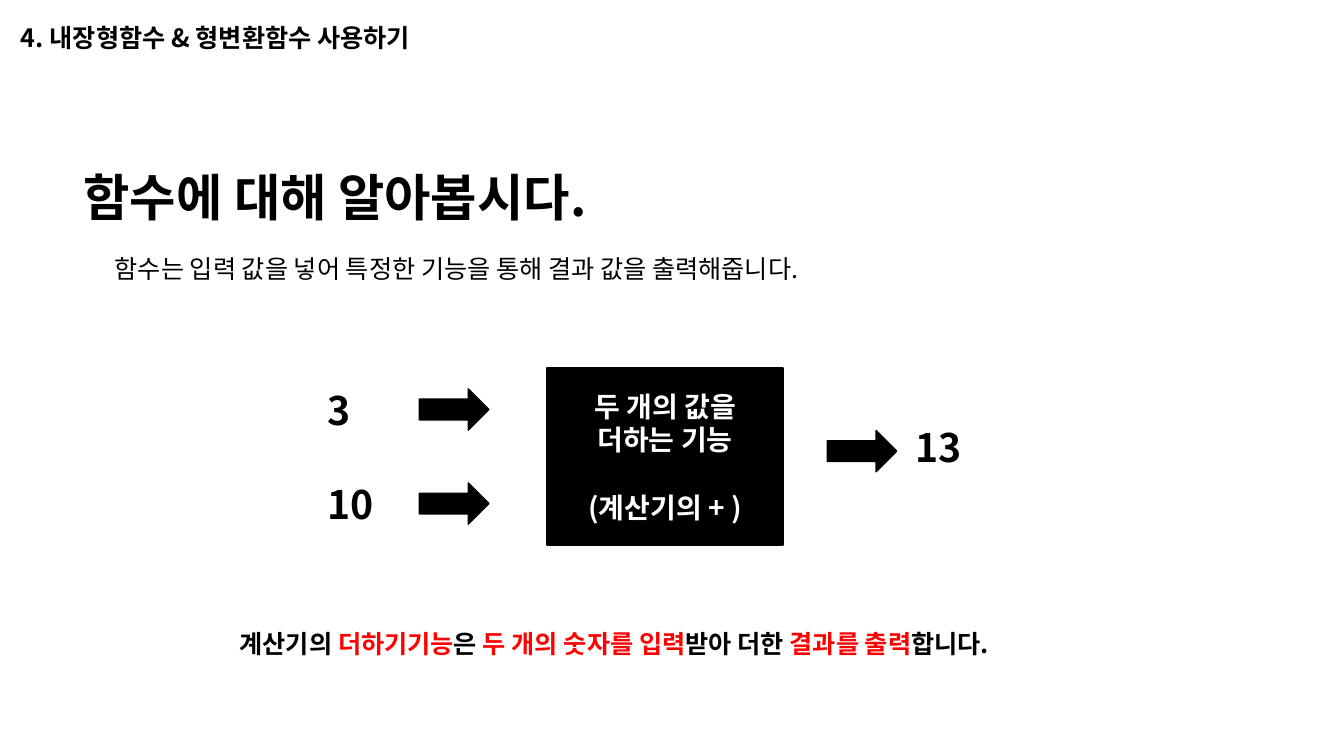
import pptx
import pptx.dml.color
import pptx.enum.shapes
import pptx.enum.text
import pptx.util
from dataclasses import dataclass
from lxml import etree
from pptx.oxml.ns import qn

Cm, Pt = pptx.util.Cm, pptx.util.Pt
SHAPE = pptx.enum.shapes.MSO_SHAPE
ALIGN = pptx.enum.text.PP_ALIGN
ANCHOR = pptx.enum.text.MSO_ANCHOR
AUTOSIZE = pptx.enum.text.MSO_AUTO_SIZE


@dataclass
class Theme:
    font: str = "Noto Sans CJK KR"
    ink: str = "000000"
    paper: str = "FFFFFF"
    accent: str = "FF0000"
    title: int = 36
    value: int = 28
    box: int = 20
    body: int = 18


def add_run(p, text, *, font, size, color, bold=False):
    """Add one formatted run, with the same font for Latin and Hangul."""
    r = p.add_run()
    r.text = text
    r.font.name = font
    r.font.size = Pt(size)
    r.font.bold = bold
    r.font.color.rgb = pptx.dml.color.RGBColor.from_string(color)
    etree.SubElement(r.font._element, qn("a:ea"), typeface=font)
    return r


class Deck:
    def __init__(self, prs, theme):
        self.prs, self.theme = prs, theme
        self.s = prs.slides.add_slide(prs.slide_layouts[5])

    def run(self, p, text, size, color=None, bold=True):
        add_run(p, text, font=self.theme.font, size=size,
                color=color or self.theme.ink, bold=bold)

    def title(self, text, left, top, width, height):
        sp = self.s.shapes.title
        sp.left, sp.top, sp.width, sp.height = map(Cm, (left, top, width, height))
        tf = sp.text_frame
        tf.auto_size = AUTOSIZE.NONE
        tf.vertical_anchor = ANCHOR.TOP
        p = tf.paragraphs[0]
        p.alignment = ALIGN.LEFT
        p.line_spacing = 0.9
        self.run(p, text, self.theme.title)

    def text(self, parts, left, top, width, height, size, bold=True):
        """Add a one-line text box from (text, color) parts."""
        sp = self.s.shapes.add_textbox(*map(Cm, (left, top, width, height)))
        tf = sp.text_frame
        tf.word_wrap = True
        tf.auto_size = AUTOSIZE.SHAPE_TO_FIT_TEXT
        for text, color in parts:
            self.run(tf.paragraphs[0], text, size, color, bold)

    def value(self, text, left, top, width=1.75):
        self.text([(text, None)], left, top, width, 1.45, self.theme.value)

    def shape(self, kind, left, top, width, height):
        sp = self.s.shapes.add_shape(kind, *map(Cm, (left, top, width, height)))
        ink = pptx.dml.color.RGBColor.from_string(self.theme.ink)
        sp.shadow.inherit = False
        sp.fill.solid()
        sp.fill.fore_color.rgb = ink
        sp.line.color.rgb = ink
        sp.line.width = Pt(1)
        return sp

    def arrow(self, left, top):
        self.shape(SHAPE.RIGHT_ARROW, left, top, 1.75, 1.04)

    def box(self, lines, left, top, width, height):
        """Add a filled box from (text, space before) lines."""
        tf = self.shape(SHAPE.RECTANGLE, left, top, width, height).text_frame
        tf.word_wrap = True
        tf.vertical_anchor = ANCHOR.MIDDLE
        for i, (text, before) in enumerate(lines):
            p = tf.add_paragraph() if i else tf.paragraphs[0]
            p.alignment = ALIGN.CENTER
            p.space_before = Pt(before)
            self.run(p, text, self.theme.box, self.theme.paper)


def main():
    prs = pptx.Presentation()
    prs.slide_width, prs.slide_height = Cm(33.87), Cm(19.05)
    theme = Theme()
    deck = Deck(prs, theme)

    # Headings
    deck.text([("4. 내장형함수 & 형변환함수 사용하기", None)],
              0.28, 0.43, 14.88, 1.02, theme.body)
    deck.title("함수에 대해 알아봅시다.", 1.85, 4.22, 15.09, 1.78)
    deck.text([("함수는 입력 값을 넣어 특정한 기능을 통해 결과 값을 출력해줍니다.", None)],
              2.64, 6.27, 20.32, 1.02, theme.body, bold=False)

    # Inputs
    for i, (number, width) in enumerate([("3", 1.19), ("10", 1.75)]):
        step = 2.37 * i
        deck.value(number, 8, 9.6 + step, width)
        deck.arrow(10.57, 9.8 + step)

    # Function box
    deck.box([("두 개의 값을", 0), ("더하는 기능", 0), ("(계산기의 + )", 24)],
             13.79, 9.27, 5.94, 4.47)

    # Output
    deck.arrow(20.85, 10.85)
    deck.value("13", 22.83, 10.54)

    # Summary
    deck.text([("계산기의 ", None), ("더하기기능", theme.accent), ("은 ", None),
               ("두 개의 숫자를 입력", theme.accent), ("받아 더한 ", None),
               ("결과를 출력", theme.accent), ("합니다.", None)],
              5.79, 15.7, 21.95, 1.02, theme.body)

    prs.save("out.pptx")


if __name__ == "__main__":
    main()
